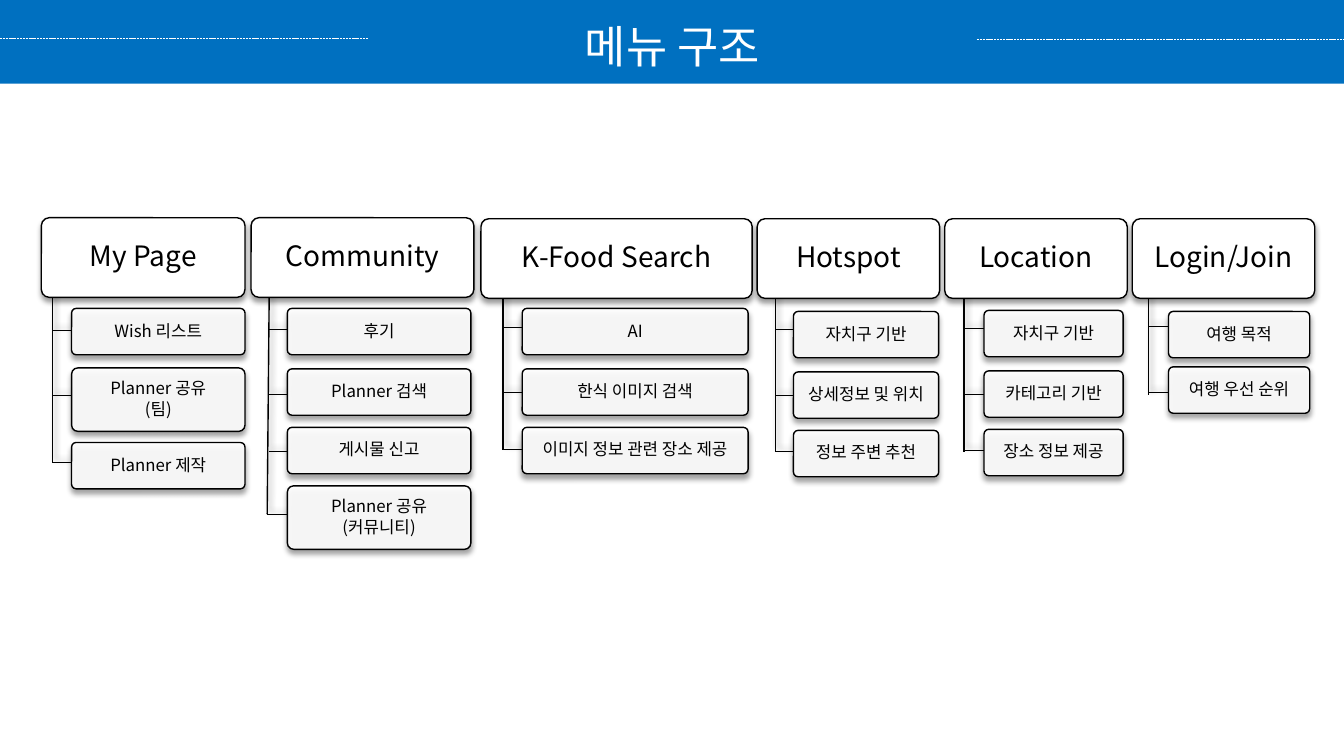
from dataclasses import dataclass

from lxml import etree
from pptx import Presentation
from pptx.dml.color import RGBColor
from pptx.enum.dml import MSO_LINE
from pptx.enum.shapes import MSO_CONNECTOR, MSO_SHAPE
from pptx.enum.text import MSO_ANCHOR, MSO_AUTO_SIZE, PP_ALIGN
from pptx.oxml import parse_xml
from pptx.oxml.ns import nsdecls, qn
from pptx.util import Inches, Pt

RECT = MSO_SHAPE.RECTANGLE
ROUND = MSO_SHAPE.ROUNDED_RECTANGLE
STRAIGHT = MSO_CONNECTOR.STRAIGHT
DASH = MSO_LINE.SQUARE_DOT
CENTER = PP_ALIGN.CENTER
MIDDLE = MSO_ANCHOR.MIDDLE
GROW = MSO_AUTO_SIZE.SHAPE_TO_FIT_TEXT

DOWN, SLANT = 90, 315
HEAD_H = 0.79
ITEM_H = {1: 0.46, 2: 0.63}


@dataclass(frozen=True)
class Theme:
    font: str = "Noto Sans CJK KR"
    blue: RGBColor = RGBColor(0x00, 0x70, 0xC0)
    white: RGBColor = RGBColor(0xFF, 0xFF, 0xFF)
    black: RGBColor = RGBColor(0x00, 0x00, 0x00)
    title: int = 32
    head: int = 20
    item: int = 12
    thick: float = 1
    thin: float = 0.5


@dataclass(frozen=True)
class Menu:
    name: str
    left: float
    top: float
    width: float
    trunk: tuple
    inner: float
    span: float
    ticks: tuple
    items: tuple


MENUS = (
    Menu("My Page", 0.41, 2.16, 2.02, (0.52, 0.52, 4.59), 0.71, 1.72,
         (3.28, 3.92, 4.59),
         ((3.06, "Wish 리스트"), (3.65, "Planner 공유\n(팀)"),
          (4.39, "Planner 제작"))),
    Menu("Community", 2.49, 2.16, 2.21, (2.67, 2.65, 5.1), 2.85, 1.82,
         (3.27, 3.91, 4.48, 5.1),
         ((3.06, "후기"), (3.66, "Planner 검색"), (4.24, "게시물 신고"),
          (4.82, "Planner 공유\n(커뮤니티)"))),
    Menu("K-Food Search", 4.77, 2.17, 2.69, (4.99, 4.99, 4.46), 5.18, 2.24,
         (3.25, 3.89, 4.46),
         ((3.06, "AI"), (3.66, "한식 이미지 검색"),
          (4.24, "이미지 정보 관련 장소 제공"))),
    Menu("Hotspot", 7.51, 2.17, 1.81, (7.69, 7.69, 4.48), 7.87, 1.44,
         (3.27, 3.92, 4.48),
         ((3.09, "자치구 기반"), (3.69, "상세정보 및 위치"),
          (4.27, "정보 주변 추천"))),
    Menu("Location", 9.37, 2.17, 1.81, (9.56, 9.56, 4.48), 9.76, 1.38,
         (3.26, 3.91, 4.47),
         ((3.08, "자치구 기반"), (3.68, "카테고리 기반"),
          (4.26, "장소 정보 제공"))),
    Menu("Login/Join", 11.23, 2.17, 1.81, (11.39, 11.39, 3.92), 11.59, 1.4,
         (3.24, 3.89),
         ((3.09, "여행 목적"), (3.64, "여행 우선 순위"))),
)


class Painter:
    def __init__(self, slide, theme):
        self.slide = slide
        self.theme = theme

    def shade(self, shape, angle):
        shape._element.spPr.append(parse_xml(
            f'<a:effectLst {nsdecls("a")}><a:outerShdw blurRad="{Pt(4)}" '
            f'dist="{Pt(3)}" dir="{angle * 60000}" algn="ctr" '
            'rotWithShape="0"><a:srgbClr val="000000"><a:alpha val="40000"/>'
            '</a:srgbClr></a:outerShdw></a:effectLst>'))

    def label(self, frame, text, size, color, space, after=0):
        for i, words in enumerate(text.split("\n")):
            para = frame.add_paragraph() if i else frame.paragraphs[0]
            para.alignment = CENTER
            para.line_spacing = space
            para.space_after = Pt(after)
            run = para.add_run()
            run.text = words
            run.font.size = Pt(size)
            run.font.color.rgb = color
            run.font.name = self.theme.font
            east = etree.SubElement(run._r.get_or_add_rPr(), qn("a:ea"))
            east.set("typeface", self.theme.font)

    def bar(self, width, height):
        shape = self.slide.shapes.add_shape(
            RECT, 0, 0, Inches(width), Inches(height))
        shape.fill.solid()
        shape.fill.fore_color.rgb = self.theme.blue
        shape.line.fill.background()
        shape.shadow.inherit = False

    def title(self, text, left, top, width, height):
        box = self.slide.shapes.add_textbox(
            Inches(left), Inches(top), Inches(width), Inches(height))
        box.text_frame.word_wrap = True
        box.text_frame.auto_size = GROW
        self.label(box.text_frame, text, self.theme.title,
                   self.theme.white, 1.5)

    def line(self, start, end, color, weight, dash=None, angle=None):
        line = self.slide.shapes.add_connector(
            STRAIGHT, *(Inches(n) for n in start + end))
        line.line.color.rgb = color
        line.line.width = Pt(weight)
        if dash:
            line.line.dash_style = dash
        if angle is None:
            etree.SubElement(line._element.spPr, qn("a:effectLst"))
        else:
            self.shade(line, angle)

    def card(self, text, left, top, width, height, size, alpha=100):
        shape = self.slide.shapes.add_shape(
            ROUND, Inches(left), Inches(top), Inches(width), Inches(height))
        shape.adjustments[0] = 0.1
        shape.fill.solid()
        shape.fill.fore_color.rgb = self.theme.white
        if alpha < 100:
            tint = shape._element.spPr.find(qn("a:solidFill"))[0]
            etree.SubElement(tint, qn("a:alpha")).set("val", str(alpha * 1000))
        shape.line.color.rgb = self.theme.black
        shape.line.width = Pt(self.theme.thick)
        self.shade(shape, DOWN)
        frame = shape.text_frame
        frame.word_wrap = True
        frame.vertical_anchor = MIDDLE
        frame.margin_left = frame.margin_right = Inches(0.05)
        frame.margin_top = frame.margin_bottom = Inches(0.03)
        self.label(frame, text, size, self.theme.black, 0.9, 1.5)

    def menu(self, menu):
        theme = self.theme
        near, far, foot = menu.trunk
        self.line((near, menu.top + HEAD_H), (far, foot),
                  theme.black, theme.thick, angle=SLANT)
        for y in menu.ticks:
            start = far if y == foot else near
            self.line((start, y), (menu.inner, y),
                      theme.black, theme.thin, angle=SLANT)
        for top, text in menu.items:
            height = ITEM_H[len(text.split("\n"))]
            self.card(text, menu.inner, top, menu.span, height, theme.item, 90)
        self.card(menu.name, menu.left, menu.top, menu.width, HEAD_H,
                  theme.head)


def main():
    deck = Presentation()
    deck.slide_width = Inches(13.33)
    deck.slide_height = Inches(7.5)
    theme = Theme()
    paint = Painter(deck.slides.add_slide(deck.slide_layouts[6]), theme)
    paint.bar(13.33, 0.83)
    for left, right, y in ((0, 3.65, 0.38), (9.69, 13.33, 0.39)):
        paint.line((left, y), (right, y), theme.white, theme.thin, DASH)
    paint.title("메뉴 구조", 4.56, -0.13, 4.22, 0.81)
    for menu in MENUS:
        paint.menu(menu)
    deck.save("out.pptx")


if __name__ == "__main__":
    main()
